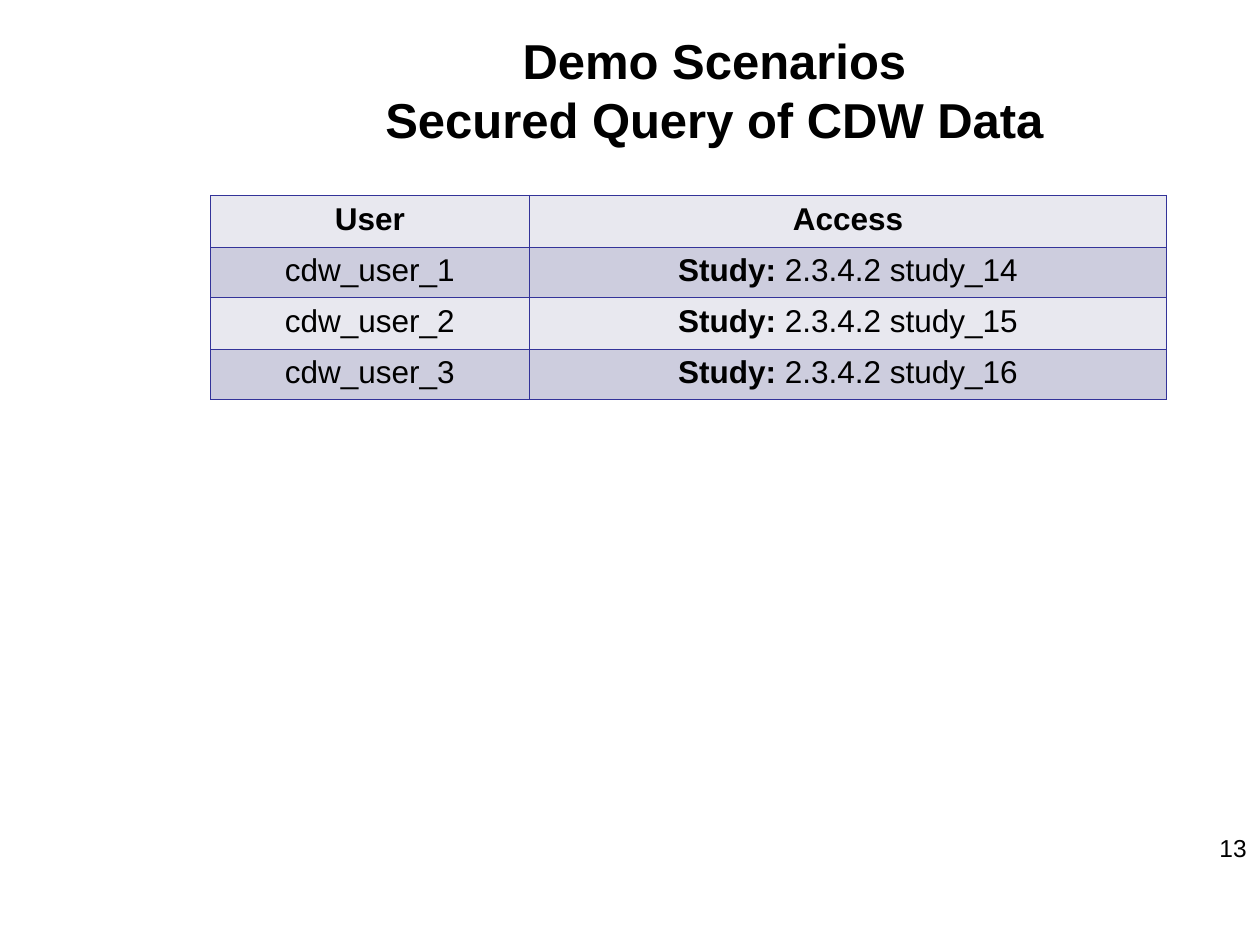
from lxml.etree import SubElement
from pptx import Presentation
from pptx.dml.color import RGBColor
from pptx.enum.text import MSO_ANCHOR as Anchor, PP_ALIGN as Align
from pptx.oxml.ns import qn
from pptx.util import Inches, Pt

BLACK = RGBColor(0x00, 0x00, 0x00)
BORDER = RGBColor(0x33, 0x33, 0x99)
BANDS = (RGBColor(0xE8, 0xE8, 0xEF), RGBColor(0xCD, 0xCD, 0xDE))
COLUMN_WIDTHS = (2.53, 5.06)
ROW_HEIGHTS = (0.41, 0.4, 0.41, 0.4)
STUDIES = (14, 15, 16)


def write_runs(paragraph, runs, size, align):
    """Fill a paragraph with (text, bold) runs."""
    paragraph.alignment = align
    for text, bold in runs:
        run = paragraph.add_run()
        run.text = text
        formats = {"name": "Arial", "size": Pt(size), "bold": bold}
        for name, value in formats.items():
            setattr(run.font, name, value)
        run.font.color.rgb = BLACK


def add_text(slide, box, lines, size, bold, align, anchor):
    """Place a text box with one paragraph for each line."""
    frame = slide.shapes.add_textbox(*map(Inches, box)).text_frame
    formats = {"word_wrap": True, "vertical_anchor": anchor}
    for name, value in formats.items():
        setattr(frame, name, value)
    for index, line in enumerate(lines):
        paragraph = frame.add_paragraph() if index else frame.paragraphs[0]
        write_runs(paragraph, [(line, bold)], size, align)


def add_borders(cell):
    """Draw a thin line on all four sides of a cell."""
    properties = cell._tc.get_or_add_tcPr()
    for position, side in enumerate(("lnL", "lnR", "lnT", "lnB")):
        line = SubElement(properties, qn(f"a:{side}"), w=str(Pt(0.45)))
        fill = SubElement(line, qn("a:solidFill"))
        SubElement(fill, qn("a:srgbClr"), val=str(BORDER))
        properties.insert(position, line)


def add_access_table(slide, box):
    """Place the table of users and the studies they can access."""
    rows = [([("User", True)], [("Access", True)])]
    for number, study in enumerate(STUDIES, start=1):
        access = [("Study:", True), (f" 2.3.4.2 study_{study}", False)]
        rows.append(([(f"cdw_user_{number}", False)], access))
    table = slide.shapes.add_table(len(rows), len(COLUMN_WIDTHS), *map(Inches, box)).table
    for column, width in zip(table.columns, COLUMN_WIDTHS):
        column.width = Inches(width)
    for row_index, (row, height) in enumerate(zip(rows, ROW_HEIGHTS)):
        table.rows[row_index].height = Inches(height)
        for column_index, runs in enumerate(row):
            cell = table.cell(row_index, column_index)
            cell.fill.solid()
            cell.fill.fore_color.rgb = BANDS[row_index % 2]
            write_runs(cell.text_frame.paragraphs[0], runs, 18, Align.CENTER)
            add_borders(cell)


def main():
    """Build the slide and save it."""
    presentation = Presentation()
    presentation.slide_width = Inches(10)
    presentation.slide_height = Inches(7.5)
    slide = presentation.slides.add_slide(presentation.slide_layouts[6])
    title = ("Demo Scenarios", "Secured Query of CDW Data")
    add_text(slide, (1.17, 0.17, 9, 1.08), title, 28, True, Align.CENTER, Anchor.MIDDLE)
    add_text(slide, (9.58, 6.56, 0.67, 0.52), ("13",), 14, False, Align.LEFT, Anchor.TOP)
    add_access_table(slide, (1.67, 1.55, sum(COLUMN_WIDTHS), sum(ROW_HEIGHTS)))
    presentation.save("out.pptx")


if __name__ == "__main__":
    main()
